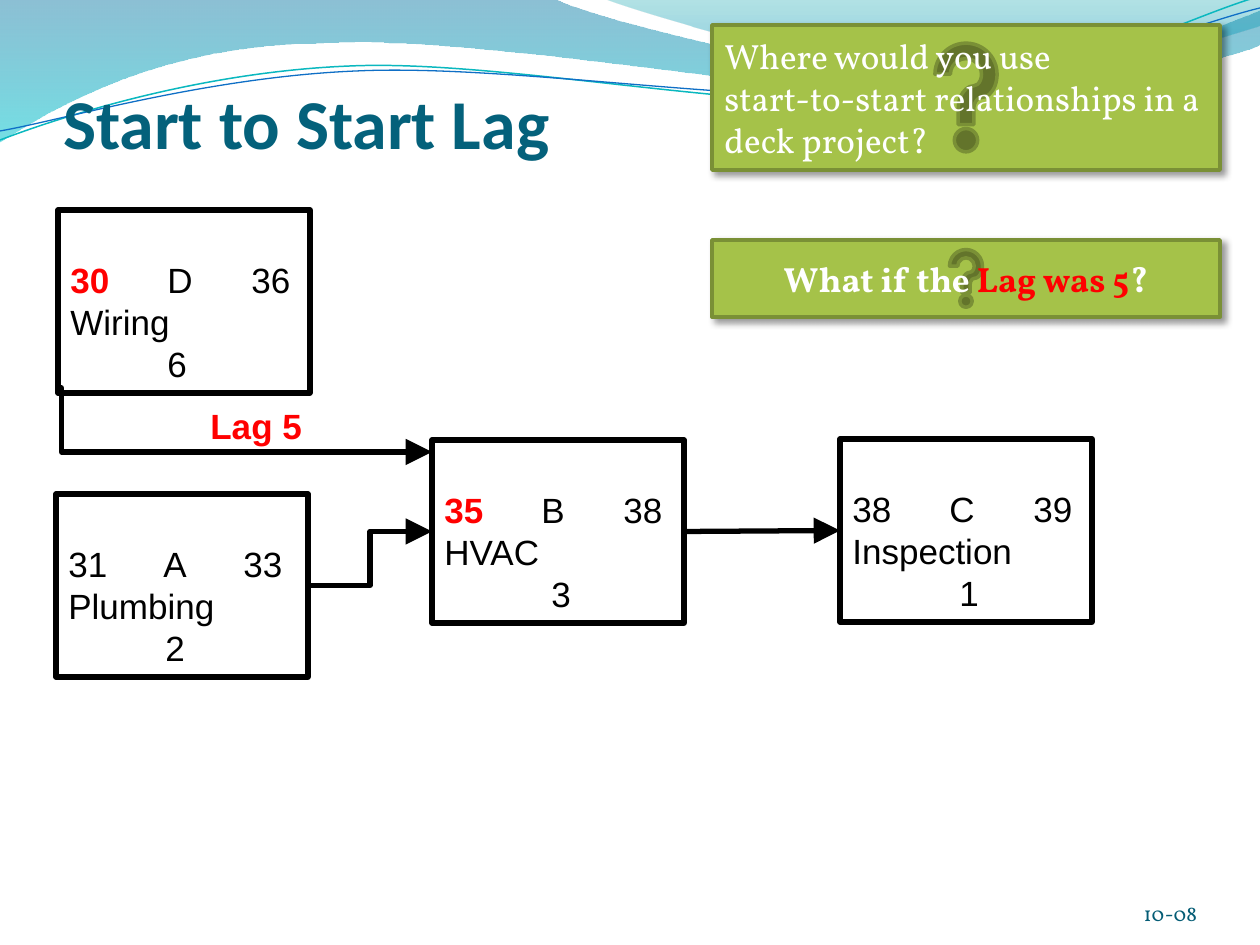
import pptx
import pptx.util
import pptx.dml.color
import pptx.enum.shapes
import pptx.enum.text
import pptx.oxml
import pptx.oxml.ns
from dataclasses import dataclass
from lxml import etree

PX = 914400 / 126
Pt = pptx.util.Pt
RGB = pptx.dml.color.RGBColor.from_string
qn = pptx.oxml.ns.qn
MSO_SHAPE = pptx.enum.shapes.MSO_SHAPE
CONNECTOR = pptx.enum.shapes.MSO_CONNECTOR
ANCHOR = pptx.enum.text.MSO_ANCHOR
ALIGN = pptx.enum.text.PP_ALIGN


@dataclass(frozen=True)
class Theme:
    ink: str = "000000"
    accent: str = "FF0000"
    title: str = "04617B"
    number: str = "045C75"
    card: str = "A5C249"
    card_edge: str = "7A9036"
    card_text: str = "FFFFFF"
    title_font: str = "Calibri"
    task_font: str = "Arial"
    card_font: str = "Vollkorn"
    title_size: int = 40
    body_size: int = 20
    number_size: int = 12
    leading: int = 24
    task_line: int = 3
    card_line: int = 2


theme = Theme()


def px(*lengths):
    return [pptx.util.Emu(round(length * PX)) for length in lengths]


def write(paragraph, runs, font, size=theme.body_size, leading=theme.leading):
    """Add (text, colour, bold) runs to a paragraph in one typeface."""
    if leading:
        paragraph.line_spacing = Pt(leading)
    for text, color, bold in runs:
        run = paragraph.add_run()
        run.text = text
        run.font.name = font
        run.font.size = Pt(size)
        run.font.bold = bold
        run.font.color.rgb = RGB(color)


deck = pptx.Presentation()
deck.slide_width, deck.slide_height = px(1260, 945)
slide = deck.slides.add_slide(deck.slide_layouts[5])
shapes = slide.shapes

# Waves: start, then lines (x, y) or curves (control 1, control 2, end);
# filled waves have gradient stops (position, colour, opacity), others a line.
waves = [
    ((0, -1), [(554, -1), (600, 21, 837, 79, 955, 79),
               (1075, 79, 1207, 33, 1260, 11), (1261, 45),
               (1239, 55, 1096, 96, 940, 95), (784, 95, 481, 35, 324, 43),
               (163, 44, 58, 105, -1, 142), (0, -1)],
     [(0, "0074A1", 45), (1, "00C6CF", 55)], None),
    ((604, -1), [(641, 14, 859, 78, 969, 82), (1079, 87, 1211, 40, 1260, 26),
                 (1260, 0), (604, -1)],
     [(0, "00A1A9", 30), (0.8, "008BBF", 45)], None),
    ((0, 140), [(60, 117, 199, 72, 349, 66), (498, 59, 747, 112, 898, 101),
                (1050, 89, 1182, 19, 1257, -3)], None, ("0AB8BF", 0.85)),
    ((0, 131), [(59, 121, 207, 77, 357, 71), (508, 64, 752, 105, 903, 95),
                (1053, 84, 1186, 26, 1260, 8)], None, ("0F6FC6", 0.75)),
]
for start, segments, stops, stroke in waves:
    builder = shapes.build_freeform(*px(*start), scale=1.0)
    for segment in segments:
        points = [px(*segment[i:i + 2]) for i in range(0, len(segment), 2)]
        builder.add_line_segments(points, close=bool(stops) and segment is segments[-1])
    wave = builder.convert_to_shape()
    steps = iter(list(wave._element.spPr.iter(qn("a:lnTo"))))
    for segment in segments:
        step = next(steps)
        if len(segment) == 6:  # two controls and an end become one curve
            step.tag = qn("a:cubicBezTo")
            for _ in range(2):
                following = next(steps)
                step.append(following[0])
                following.getparent().remove(following)
    wave.shadow.inherit = False
    if stops:
        wave.line.fill.background()
        wave.fill.gradient()
        wave.fill.gradient_angle = 270
        for stop, (position, color, _) in zip(wave.fill.gradient_stops, stops):
            stop.position = position
            stop.color.rgb = RGB(color)
        for tint, (_, _, opacity) in zip(wave._element.spPr.iter(qn("a:srgbClr")), stops):
            etree.SubElement(tint, qn("a:alpha"), val=str(opacity * 1000))
    else:
        wave.fill.background()
        wave.line.color.rgb = RGB(stroke[0])
        wave.line.width = Pt(stroke[1])

title = shapes.title
shapes._spTree.append(title._element)  # above the waves
title.left, title.top, title.width, title.height = px(63, 73, 1134, 158)
frame = title.text_frame
frame.margin_left = frame.margin_right = frame.margin_bottom = 0
frame.vertical_anchor = ANCHOR.TOP
frame.paragraphs[0].alignment = ALIGN.LEFT
write(frame.paragraphs[0], [("Start to Start Lag", theme.title, True)],
      theme.title_font, theme.title_size, None)

# Task: left, top, start, is start changed, letter, finish, duration,
# then tab stops of letter, finish and duration
tasks = {
    "Plumbing": (56, 494, "31", False, "A", "33", "2", 95, 175, 97),
    "HVAC": (432, 440, "35", True, "B", "38", "3", 97, 179, 107),
    "Inspection": (840, 439, "38", False, "C", "39", "1", 97, 181, 107),
    "Wiring": (58, 210, "30", True, "D", "36", "6", 97, 181, 97),
}
boxes = {}
for name, (left, top, begin, changed, letter, finish, duration,
           letter_tab, finish_tab, duration_tab) in tasks.items():
    box = shapes.add_shape(MSO_SHAPE.RECTANGLE, *px(left, top, 252, 183))
    boxes[name] = box
    box.shadow.inherit = False
    box.fill.background()
    box.line.color.rgb = RGB(theme.ink)
    box.line.width = Pt(theme.task_line)
    frame = box.text_frame
    frame.word_wrap = True
    frame.vertical_anchor = ANCHOR.TOP
    frame.margin_top, = px(48)
    rows = [
        ([(begin, theme.accent if changed else theme.ink, changed),
          (f"\t{letter}\t{finish}", theme.ink, False)], [letter_tab, finish_tab]),
        ([(name, theme.ink, False)], []),
        ([(f"\t{duration}", theme.ink, False)], [duration_tab]),
    ]
    for index, (runs, tabs) in enumerate(rows):
        paragraph = frame.add_paragraph() if index else frame.paragraphs[0]
        paragraph.alignment = ALIGN.LEFT
        paragraph.line_spacing = Pt(theme.leading)
        if tabs:
            tab_list = etree.SubElement(paragraph._p.get_or_add_pPr(), qn("a:tabLst"))
            for position in px(*tabs):
                etree.SubElement(tab_list, qn("a:tab"), pos=str(position), algn="l")
        write(paragraph, runs, theme.task_font)

hvac_link = shapes.add_connector(CONNECTOR.STRAIGHT, *px(684, 532, 840, 531))
hvac_link.begin_connect(boxes["HVAC"], 3)
hvac_link.end_connect(boxes["Inspection"], 1)
plumbing_link = shapes.add_connector(CONNECTOR.ELBOW, *px(308, 586, 432, 532))
plumbing_link.begin_connect(boxes["Plumbing"], 3)
plumbing_link.end_connect(boxes["HVAC"], 1)
lag_link = shapes.add_connector(CONNECTOR.ELBOW, *px(59, 388, 432, 452))
bend = lag_link._element.spPr.find(qn("a:prstGeom")).get_or_add_avLst()
etree.SubElement(bend, qn("a:gd"), name="adj1", fmla="val 700")
for link in (hvac_link, plumbing_link, lag_link):
    link.line.color.rgb = RGB(theme.ink)
    link.line.width = Pt(theme.task_line)
    etree.SubElement(link.line._get_or_add_ln(), qn("a:tailEnd"),
                     type="triangle", w="lg", len="lg")
    etree.SubElement(link._element.spPr, qn("a:effectLst"))

lag_label = shapes.add_textbox(*px(198, 398, 158, 55)).text_frame
lag_label.word_wrap = True
write(lag_label.paragraphs[0], [("Lag 5", theme.accent, True)], theme.task_font)

slide_number = shapes.add_textbox(*px(1092, 876, 105, 50)).text_frame
slide_number.word_wrap = True
slide_number.vertical_anchor = ANCHOR.BOTTOM
slide_number.margin_left = slide_number.margin_right = 0
slide_number.margin_top = slide_number.margin_bottom = 0
slide_number.paragraphs[0].alignment = ALIGN.RIGHT
write(slide_number.paragraphs[0], [("10-08", theme.number, False)],
      theme.card_font, theme.number_size, None)

# Question cards: top, height, alignment, lines of runs
cards = [
    (240, 77, ALIGN.CENTER, [[("What if the ", theme.card_text, True),
                              ("Lag was 5", theme.accent, True),
                              ("?", theme.card_text, True)]]),
    (25, 145, ALIGN.LEFT, [
        [("Where would you use", theme.card_text, False)],
        [("start-to-start relationships in a deck project?", theme.card_text, False)]]),
]
for top, height, alignment, lines in cards:
    card = shapes.add_shape(MSO_SHAPE.ACTION_BUTTON_HELP, *px(712, top, 508, height))
    card.fill.solid()
    card.fill.fore_color.rgb = RGB(theme.card)
    card.line.color.rgb = RGB(theme.card_edge)
    card.line.width = Pt(theme.card_line)
    card.shadow.inherit = False
    shadow = etree.SubElement(card._element.spPr.find(qn("a:effectLst")), qn("a:outerShdw"),
                              blurRad=str(Pt(4)), dist=str(Pt(3)), dir=str(45 * 60000),
                              algn="tl", rotWithShape="0")
    shade = etree.SubElement(shadow, qn("a:srgbClr"), val=theme.ink)
    etree.SubElement(shade, qn("a:alpha"), val="40000")
    card.text_frame.word_wrap = True
    card.text_frame.vertical_anchor = ANCHOR.MIDDLE
    question = card.text_frame.paragraphs[0]
    question.alignment = alignment
    for index, runs in enumerate(lines):
        if index:
            question.add_line_break()
        write(question, runs, theme.card_font)

deck.save("out.pptx")
